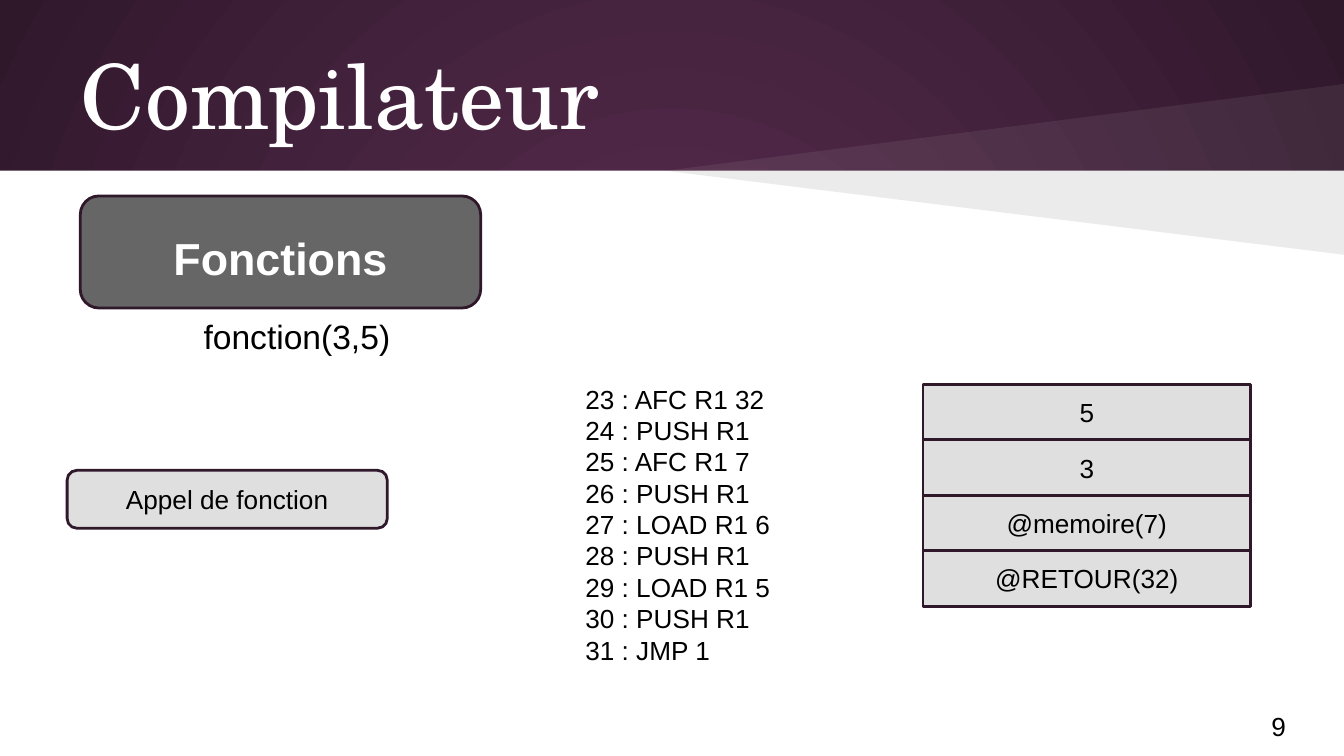
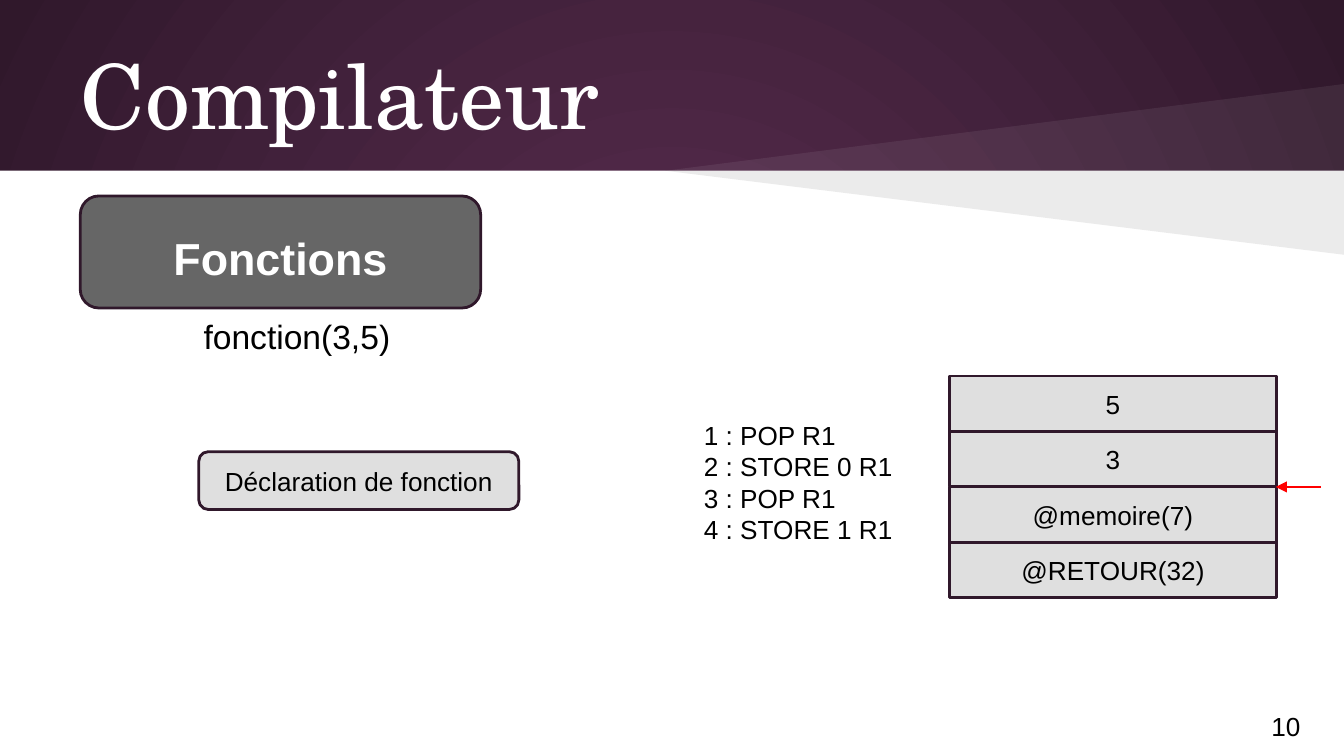
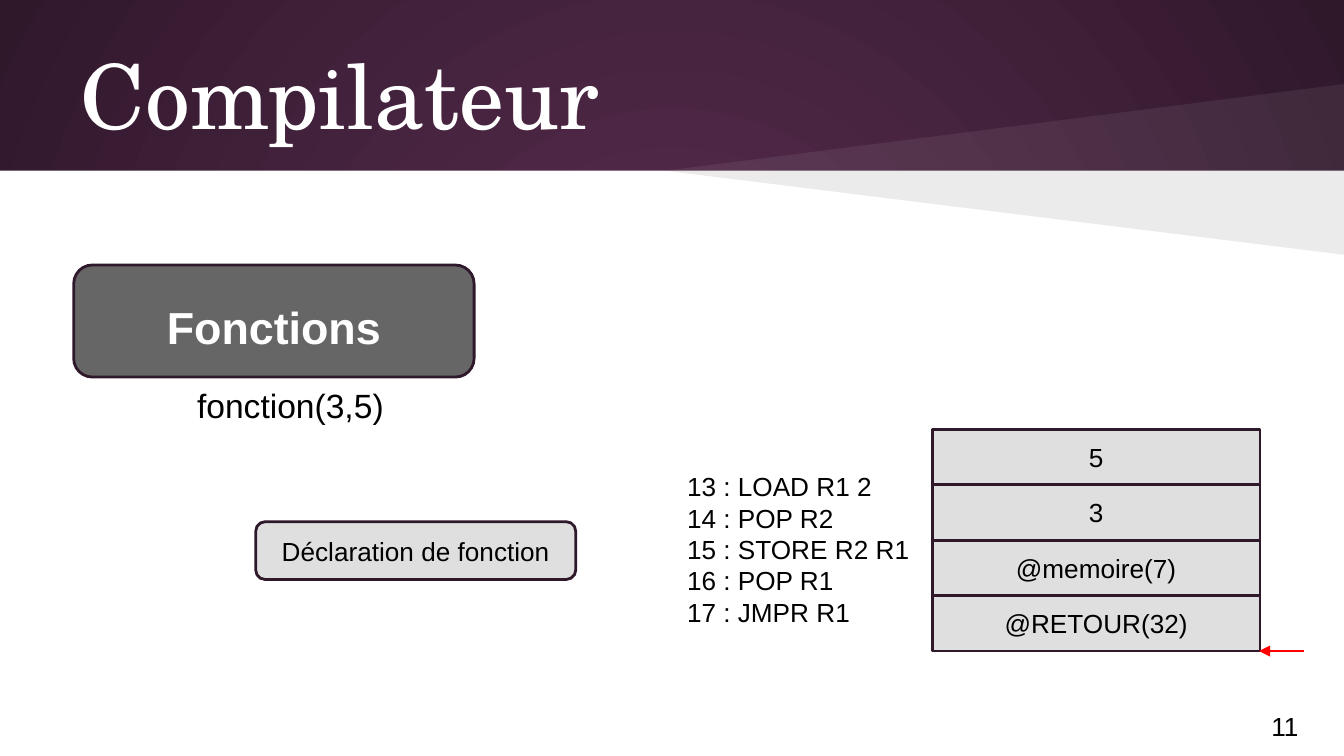
import pptx
import pptx.util
import pptx.dml.color
import pptx.enum.shapes
import pptx.enum.text
import pptx.oxml.ns
from lxml import etree

Pt = pptx.util.Pt
Kind = pptx.enum.shapes.MSO_SHAPE
Align = pptx.enum.text.PP_ALIGN
Anchor = pptx.enum.text.MSO_ANCHOR
qn = pptx.oxml.ns.qn
tone = pptx.dml.color.RGBColor.from_string

# Shared colours and sizes
PLUM, DARK, GREY, PALE = "592D50", "30182B", "666666", "DFDFDF"
WHITE, BLACK, RED = "FFFFFF", "000000", "FF0000"
WIDE, HIGH, BAND = 720, 405, 91.5
CELL_W, CELL_H = 175.5, 29.7
STACK = ["5", "3", "@memoire(7)", "@RETOUR(32)"]

# What differs from slide to slide; mark is the stack edge the arrow points at
PAGES = [
    {"head": (43, 105), "step": "Appel de fonction", "spot": (36, 252),
     "code": ["23 : AFC R1 32", "24 : PUSH R1", "25 : AFC R1 7",
              "26 : PUSH R1", "27 : LOAD R1 6", "28 : PUSH R1",
              "29 : LOAD R1 5", "30 : PUSH R1", "31 : JMP 1"],
     "list": (306.5, 198, 123), "stack": (494.5, 206), "mark": None},
    {"head": (43, 105), "step": "Déclaration de fonction", "spot": (106.5, 242),
     "code": ["1 : POP R1", "2 : STORE 0 R1", "3 : POP R1", "4 : STORE 1 R1"],
     "list": (370, 217.5, 128), "stack": (508.5, 201.5), "mark": 2},
    {"head": (39.5, 142), "step": "Déclaration de fonction", "spot": (137, 279.5),
     "code": ["13 : LOAD R1 2", "14 : POP R2", "15 : STORE R2 R1",
              "16 : POP R1", "17 : JMPR R1"],
     "list": (361, 245, 139), "stack": (499.5, 230), "mark": 4},
]


def write(shape, text, size=14, color=BLACK, font="Arial", bold=False,
          align=Align.LEFT, anchor=Anchor.TOP):
    frame = shape.text_frame
    frame.text = text
    frame.word_wrap = True
    frame.auto_size = pptx.enum.text.MSO_AUTO_SIZE.NONE
    frame.vertical_anchor = anchor
    frame.margin_left = frame.margin_right = Pt(7.2)
    frame.margin_top = frame.margin_bottom = Pt(7.2)
    for para in frame.paragraphs:
        para.alignment = align
        for run in para.runs:
            run.font.name, run.font.size, run.font.bold = font, Pt(size), bold
            run.font.color.rgb = tone(color)


def block(slide, kind, x, y, w, h, text, fill=PALE, **style):
    shape = slide.shapes.add_shape(kind, Pt(x), Pt(y), Pt(w), Pt(h))
    shape.shadow.inherit = False
    shape.fill.solid()
    shape.fill.fore_color.rgb = tone(fill)
    shape.line.color.rgb = tone(DARK)
    shape.line.width = Pt(1.5)
    write(shape, text, align=Align.CENTER, anchor=Anchor.MIDDLE, **style)
    return shape


deck = pptx.Presentation()
deck.slide_width, deck.slide_height = Pt(WIDE), Pt(HIGH)
layout = deck.slide_layouts[5]
for item in list(layout.placeholders)[1:]:
    item.element.getparent().remove(item.element)
slides = [deck.slides.add_slide(layout) for page in PAGES]

# Layout background: round gradient from the centre
fill = layout.background.fill
fill.gradient()
for stop, color in zip(fill.gradient_stops, (PLUM, DARK)):
    stop.color.rgb = tone(color)
lin = layout.element.find(".//" + qn("a:lin"))
ring = etree.Element(qn("a:path"), {"path": "circle"})
etree.SubElement(ring, qn("a:fillToRect"),
                 {side: "50000" for side in "ltrb"})
lin.getparent().replace(lin, ring)

# Layout panel and wedges: drawn on a slide, then moved to the layout
shapes = slides[0].shapes
panel = shapes.add_shape(Kind.RECTANGLE, 0, Pt(BAND), Pt(WIDE), Pt(HIGH - BAND))
parts = [(panel, WHITE, 100)]
for edge, color, alpha in ((45, WHITE, 7), (136.5, BLACK, 8)):
    pen = shapes.build_freeform(Pt(WIDE), Pt(BAND))
    pen.add_line_segments([(Pt(356.5), Pt(BAND)), (Pt(WIDE), Pt(edge))])
    parts.append((pen.convert_to_shape(), color, alpha))
for shape, color, alpha in parts:
    shape.shadow.inherit = False
    shape.line.fill.background()
    shape.fill.solid()
    shape.fill.fore_color.rgb = tone(color)
    if alpha < 100:
        tint = shape.element.spPr.find(".//" + qn("a:srgbClr"))
        etree.SubElement(tint, qn("a:alpha"), val=str(alpha * 1000))
    layout.shapes.element.append(shape.element)

for number, (slide, page) in enumerate(zip(slides, PAGES), 9):
    # Title
    title = slide.shapes.title
    title.left, title.top = Pt(36), Pt(16.5)
    title.width, title.height = Pt(648), Pt(67.5)
    write(title, "Compilateur", 48, WHITE, "TeX Gyre Schola",
          anchor=Anchor.MIDDLE)

    # Heading and current step
    x, y = page["head"]
    head = block(slide, Kind.ROUNDED_RECTANGLE, x, y, 214.5, 60, "Fonctions",
                 GREY, size=24, color=WHITE, bold=True)
    head.text_frame.paragraphs[0].line_spacing = 1.2
    block(slide, Kind.ROUNDED_RECTANGLE, *page["spot"], 171.5, 31, page["step"])

    # Call, code listing and slide number
    left, top, width = page["list"]
    code = page["code"]
    for at, text, size, anchor in (
            ((x + 59, y + 57, 171.5, 16.5), "fonction(3,5)", 18, Anchor.TOP),
            ((left, top, width, 16.5 * len(code) + 14.5), "\n".join(code), 14,
             Anchor.TOP),
            ((674, 373.5, 43, 31), str(number), 14, Anchor.MIDDLE)):
        label = slide.shapes.add_textbox(*map(Pt, at))
        write(label, text, size, anchor=anchor)

    # Stack
    left, top = page["stack"]
    for row, text in enumerate(STACK):
        block(slide, Kind.RECTANGLE, left, top + row * CELL_H, CELL_W, CELL_H, text)

    # Stack pointer
    if page["mark"]:
        tip, level = left + CELL_W - 0.5, top + page["mark"] * CELL_H
        arrow = slide.shapes.add_connector(
            pptx.enum.shapes.MSO_CONNECTOR.STRAIGHT,
            Pt(tip + 24), Pt(level), Pt(tip), Pt(level))
        arrow.line.color.rgb = tone(RED)
        arrow.line.width = Pt(1.5)
        etree.SubElement(arrow.line._get_or_add_ln(), qn("a:tailEnd"),
                         type="triangle")
        etree.SubElement(arrow.element.spPr, qn("a:effectLst"))

deck.save("out.pptx")
